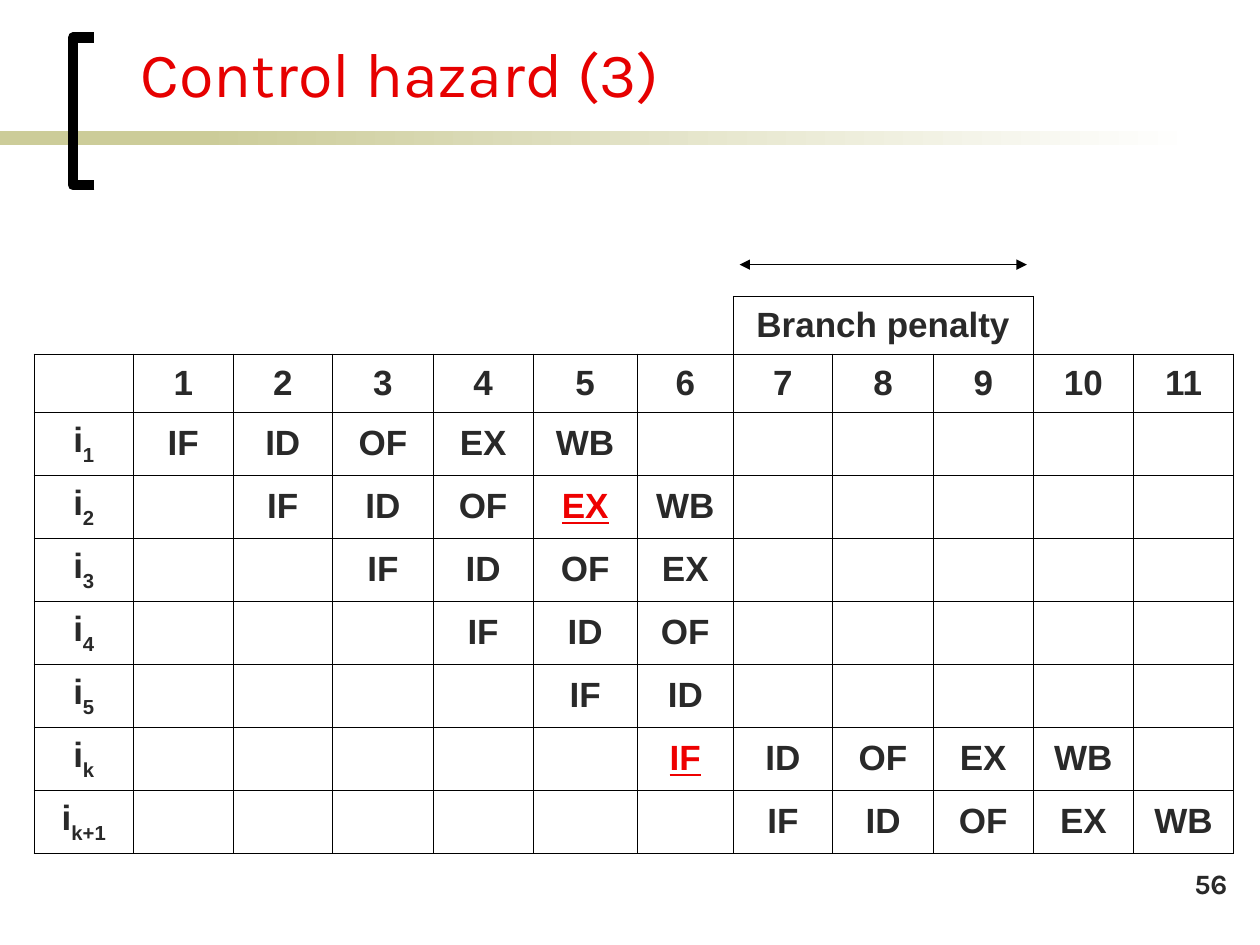
from dataclasses import dataclass

from lxml import etree
from pptx import Presentation
from pptx.dml.color import RGBColor
from pptx.enum.shapes import MSO_CONNECTOR, MSO_SHAPE
from pptx.enum.text import MSO_ANCHOR, PP_ALIGN
from pptx.oxml.ns import qn
from pptx.util import Inches, Pt

LEFT, CENTER, RIGHT = PP_ALIGN.LEFT, PP_ALIGN.CENTER, PP_ALIGN.RIGHT
TOP, MIDDLE, BOTTOM = MSO_ANCHOR.TOP, MSO_ANCHOR.MIDDLE, MSO_ANCHOR.BOTTOM
RECT, STRAIGHT = MSO_SHAPE.RECTANGLE, MSO_CONNECTOR.STRAIGHT
NO_STYLE = "{2D5ABB26-0587-4C30-8999-92F81FD0307C}"

COLS = [0.79, 0.79, 0.79, 0.8, 0.79, 0.83, 0.76, 0.79, 0.8, 0.79, 0.8, 0.79]
ROWS = [0.68] * 2 + [0.46] * 2 + [0.5] * 7
HEADER_ROW = 3
PENALTY_COLS = range(7, 10)
STAGES = ["IF", "ID", "OF", "EX", "WB"]
PIPELINE = [("1", 1, 5), ("2", 2, 5), ("3", 3, 4), ("4", 4, 3),
            ("5", 5, 2), ("k", 6, 5), ("k+1", 7, 5)]
HAZARDS = {("2", "EX"), ("k", "IF")}


@dataclass
class Theme:
    """Colours, fonts and type sizes of the deck."""
    title: str = "E60000"
    text: str = "292929"
    alert: str = "EE0000"
    band: str = "CCCC99"
    line: str = "000000"
    white: str = "FFFFFF"
    display_font: str = "Karla"
    table_font: str = "Arial"
    title_size: int = 36
    table_size: int = 20
    number_size: int = 16


def rgb(value):
    """Turn a hex string into a colour."""
    return RGBColor.from_string(value)


def add_text(p, text, font, size, color, bold=False, underline=False,
             subscript=False, align=LEFT):
    """Add one formatted run to a paragraph."""
    p.alignment = align
    r = p.add_run()
    r.text = text
    r.font.name, r.font.size = font, Pt(size)
    r.font.color.rgb = rgb(color)
    r.font.bold, r.font.underline = bold, underline
    if subscript:
        r.font._element.set("baseline", "-30000")


class Deck:
    """Holds the theme and the current slide."""

    def __init__(self, s, theme):
        """Keep the slide and its theme."""
        self.s, self.theme = s, theme

    def band(self, x, w, fade=False):
        """Draw a piece of the title band, solid or fading out."""
        sp = self.s.shapes.add_shape(RECT, Inches(x), Inches(1.04), Inches(w), Inches(0.11))
        sp.shadow.inherit = False
        sp.line.fill.background()
        if fade:
            sp.fill.gradient()
            sp.fill.gradient_angle = 180
            for stop, color in zip(sp.fill.gradient_stops, (self.theme.white, self.theme.band)):
                stop.color.rgb = rgb(color)
        else:
            sp.fill.solid()
            sp.fill.fore_color.rgb = rgb(self.theme.band)

    def bracket(self, x, y, w, h):
        """Draw an open left bracket."""
        points = [(x + w, y + h), (x, y + h), (x, y), (x + w, y)]
        corners = [(Inches(a), Inches(b)) for a, b in points]
        builder = self.s.shapes.build_freeform(*corners[0])
        builder.add_line_segments(corners[1:], close=False)
        sp = builder.convert_to_shape()
        sp.shadow.inherit = False
        sp.fill.background()
        sp.line.color.rgb, sp.line.width = rgb(self.theme.line), Pt(6)

    def label(self, text, x, y, w, h, anchor=TOP, **fmt):
        """Place a text box."""
        tf = self.s.shapes.add_textbox(Inches(x), Inches(y), Inches(w), Inches(h)).text_frame
        tf.word_wrap = True
        tf.vertical_anchor = anchor
        add_text(tf.paragraphs[0], text, self.theme.display_font, **fmt)

    def double_arrow(self, x1, x2, y):
        """Draw a horizontal line with an arrowhead at each end."""
        sp = self.s.shapes.add_connector(STRAIGHT, Inches(x1), Inches(y), Inches(x2), Inches(y))
        sp.line.color.rgb, sp.line.width = rgb(self.theme.line), Pt(0.75)
        ln = sp.line._get_or_add_ln()
        for end in ("a:headEnd", "a:tailEnd"):
            etree.SubElement(ln, qn(end), type="triangle")
        etree.SubElement(sp._element.spPr, qn("a:effectLst"))

    def table(self, x, y, cols, rows):
        """Add a plain table with the given column widths and row heights."""
        frame = self.s.shapes.add_table(len(rows), len(cols), Inches(x), Inches(y),
                                        Inches(sum(cols)), Inches(sum(rows)))
        table = frame.table
        table.first_row = table.horz_banding = False
        table._tbl.tblPr.find(qn("a:tableStyleId")).text = NO_STYLE
        for column, width in zip(table.columns, cols):
            column.width = Inches(width)
        for row, height in zip(table.rows, rows):
            row.height = Inches(height)
        for cell in table.iter_cells():
            cell.fill.background()
            cell.vertical_anchor = MIDDLE
        return table

    def border(self, cell):
        """Outline a cell on all four sides."""
        tc_pr = cell._tc.get_or_add_tcPr()
        for i, side in enumerate(("a:lnL", "a:lnR", "a:lnT", "a:lnB")):
            ln = etree.Element(qn(side), w=str(Pt(0.45)))
            fill = etree.SubElement(ln, qn("a:solidFill"))
            etree.SubElement(fill, qn("a:srgbClr"), val=self.theme.line)
            tc_pr.insert(i, ln)

    def cell_text(self, cell, text, alert=False, **fmt):
        """Add centred bold text to a cell."""
        t = self.theme
        add_text(cell.text_frame.paragraphs[0], text, t.table_font, t.table_size,
                 t.alert if alert else t.text, bold=True, underline=alert,
                 align=CENTER, **fmt)

    def pipeline(self, x, y):
        """Build the timing table of the pipeline stages."""
        table = self.table(x, y, COLS, ROWS)
        first, last = PENALTY_COLS[0], PENALTY_COLS[-1]
        for c in PENALTY_COLS:
            self.border(table.cell(2, c))
        for r in range(HEADER_ROW, len(ROWS)):
            for c in range(len(COLS)):
                self.border(table.cell(r, c))
        table.cell(0, first).merge(table.cell(1, last))
        table.cell(2, first).merge(table.cell(2, last))
        self.cell_text(table.cell(2, first), "Branch penalty")
        for cycle in range(1, len(COLS)):
            self.cell_text(table.cell(HEADER_ROW, cycle), str(cycle))
        for r, (index, start, count) in enumerate(PIPELINE, HEADER_ROW + 1):
            self.cell_text(table.cell(r, 0), "i")
            self.cell_text(table.cell(r, 0), index, subscript=True)
            for c, stage in enumerate(STAGES[:count], start):
                self.cell_text(table.cell(r, c), stage, alert=(index, stage) in HAZARDS)


def main():
    """Build the slide and save it."""
    prs = Presentation()
    prs.slide_width, prs.slide_height = Inches(10), Inches(7.5)
    theme = Theme()
    deck = Deck(prs.slides.add_slide(prs.slide_layouts[6]), theme)
    deck.band(0, 2.33)
    deck.band(1.58, 7.92, fade=True)
    deck.bracket(0.58, 0.3, 0.17, 1.17)
    deck.label("Control hazard (3)", 1.02, 0.11, 7.83, 0.81, anchor=BOTTOM,
               size=theme.title_size, color=theme.title)
    deck.double_arrow(5.87, 8.15, 2.1)
    deck.pipeline(0.27, 0.99)
    deck.label("56", 7.76, 6.83, 2.08, 0.5, size=theme.number_size,
               color=theme.text, bold=True, align=RIGHT)
    prs.save("out.pptx")


if __name__ == "__main__":
    main()
